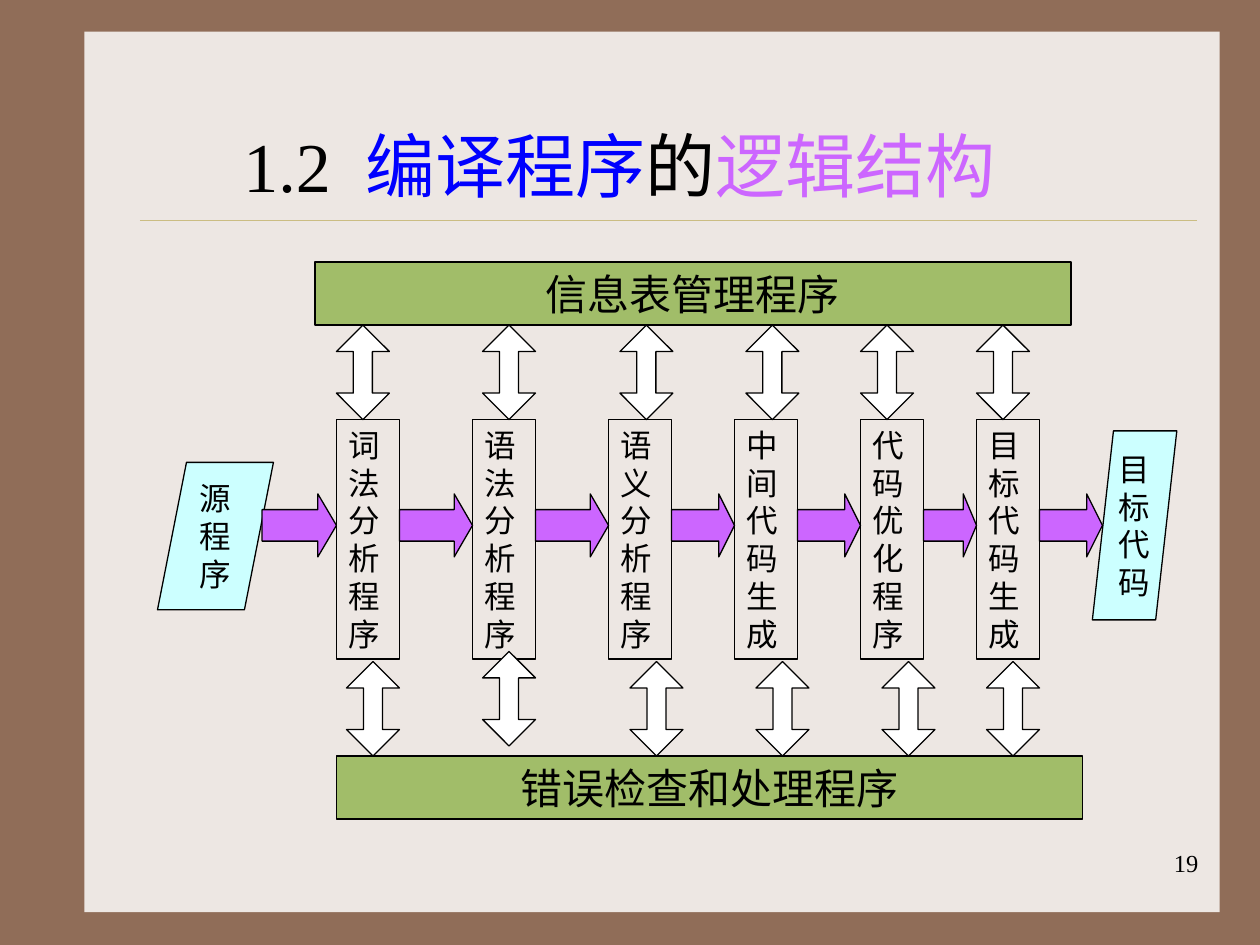
from pptx import Presentation
from pptx.dml.color import RGBColor
from pptx.enum.shapes import MSO_CONNECTOR, MSO_SHAPE as Kind
from pptx.enum.text import MSO_ANCHOR as Anchor, PP_ALIGN as Align
from pptx.oxml.ns import qn
from pptx.util import Inches, Pt

# Content
TITLE = [("1.2  ", "black"), ("编译程序", "blue"), ("的", "black"), ("逻辑结构", "violet")]
PAGE_NUMBER = "19"
STAGES = [  # label, left edge, left of upper arrow, left and top of lower arrow
    ("词法分析程序", 2.67, 2.67, 2.75, 5.25),
    ("语法分析程序", 3.75, 3.83, 3.83, 5.17),
    ("语义分析程序", 4.83, 4.92, 5.00, 5.25),
    ("中间代码生成", 5.83, 5.92, 6.00, 5.25),
    ("代码优化程序", 6.83, 6.83, 7.00, 5.25),
    ("目标代码生成", 7.75, 7.75, 7.83, 5.25),
]
ENDS = [("源程序", (1.25, 3.67, 0.92, 1.17)), ("目标代码", (8.67, 3.42, 0.67, 1.5))]
BARS = [("信息表管理程序", (2.5, 2.08, 6, 0.5)), ("错误检查和处理程序", (2.67, 6, 5.92, 0.5))]
FLOW_START, FLOW_END = 2.08, 8.75
STAGE_WIDTH = 0.5


class Theme:
    font = "Times New Roman"
    colors = dict(black="000000", blue="0000FF", violet="CC66FF", cyan="CCFFFF",
                  green="A1BD69", white="FFFFFF", brown="906D58", paper="EDE7E3",
                  gold="CBBD83")
    title, bar, label, number = 40, 24, 18, 14
    outline, rule = 0.74, 0.26

    @classmethod
    def rgb(cls, name):
        return RGBColor.from_string(cls.colors[name])


deck = Presentation()
deck.slide_width, deck.slide_height = Inches(10), Inches(7.5)
page = deck.slides.add_slide(deck.slide_layouts[6])
page.background.fill.solid()
page.background.fill.fore_color.rgb = Theme.rgb("brown")


def set_all(target, **values):
    for name, value in values.items():
        setattr(target, name, value)


def write(box, paragraphs, size, align, anchor=Anchor.TOP, wrap=True, before=0):
    """Each paragraph is a list of (text, color) spans."""
    frame = box.text_frame
    set_all(frame, word_wrap=wrap, vertical_anchor=anchor,
            margin_left=Inches(0.1), margin_right=Inches(0.1),
            margin_top=Inches(0.05), margin_bottom=Inches(0.05))
    for index, spans in enumerate(paragraphs):
        para = frame.add_paragraph() if index else frame.paragraphs[0]
        set_all(para, alignment=align, space_before=Pt(before))
        for text, color in spans:
            span = para.add_run()
            span.text = text
            set_all(span.font, name=Theme.font, size=Pt(size))
            span.font.color.rgb = Theme.rgb(color)


def add_shape(kind, place, fill=None, outlined=True, adjust=()):
    shape = page.shapes.add_shape(kind, *map(Inches, place))
    shape.shadow.inherit = False
    for index, value in enumerate(adjust):
        shape.adjustments[index] = value
    if fill:
        shape.fill.solid()
        shape.fill.fore_color.rgb = Theme.rgb(fill)
    else:
        shape.fill.background()
    if outlined:
        shape.line.color.rgb = Theme.rgb("black")
        shape.line.width = Pt(Theme.outline)
    else:
        shape.line.fill.background()
    return shape


def add_text(place, *args, **options):
    write(page.shapes.add_textbox(*map(Inches, place)), *args, **options)


def add_exchange(left, top):
    add_shape(Kind.UP_DOWN_ARROW, (left, top, 0.42, 0.75), "white", adjust=(0.5, 0.36))


# Page panel, rule, title and number
add_shape(Kind.RECTANGLE, (0.67, 0.25, 9.01, 6.99), "paper", outlined=False)
rule = page.shapes.add_connector(MSO_CONNECTOR.STRAIGHT, *map(Inches, (1.11, 1.75, 9.5, 1.75)))
rule.line.color.rgb = Theme.rgb("gold")
rule.line.width = Pt(Theme.rule)
effects = rule._element.spPr.makeelement(qn("a:effectLst"), {})
rule._element.spPr.append(effects)
add_text((7.53, 6.68, 2.08, 0.5), [[(PAGE_NUMBER, "black")]], Theme.number, Align.RIGHT)
add_text((1.33, 0.92, 7.17, 0.77), [TITLE], Theme.title, Align.CENTER, before=25)

# Source and target programs, one character to a line
for label, place in ENDS:
    end = add_shape(Kind.PARALLELOGRAM, place, "cyan", adjust=(0.25,))
    write(end, [[(char, "black")] for char in label], Theme.label, Align.CENTER,
          Anchor.MIDDLE, wrap=False)

# Shared services above and below
for label, place in BARS:
    bar = add_shape(Kind.RECTANGLE, place, "green")
    write(bar, [[(label, "black")]], Theme.bar, Align.CENTER, Anchor.MIDDLE, wrap=False)

# Stages with their exchange arrows
for label, left, upper_left, lower_left, lower_top in STAGES:
    stage = add_shape(Kind.RECTANGLE, (left, 3.33, STAGE_WIDTH, 1.9))
    write(stage, [[(label, "black")]], Theme.label, Align.LEFT, before=11.2)
    add_exchange(upper_left, 2.58)
    add_exchange(lower_left, lower_top)

# Flow arrows fill the gaps between stages
lefts = [stage[1] for stage in STAGES]
starts = [FLOW_START] + [left + STAGE_WIDTH for left in lefts]
for start, stop in zip(starts, lefts + [FLOW_END]):
    width, height = stop - start, 0.5
    head = 0.25 * width / min(width, height)
    add_shape(Kind.RIGHT_ARROW, (start, 3.92, width, height), "violet", adjust=(0.5, head))

deck.save("out.pptx")
